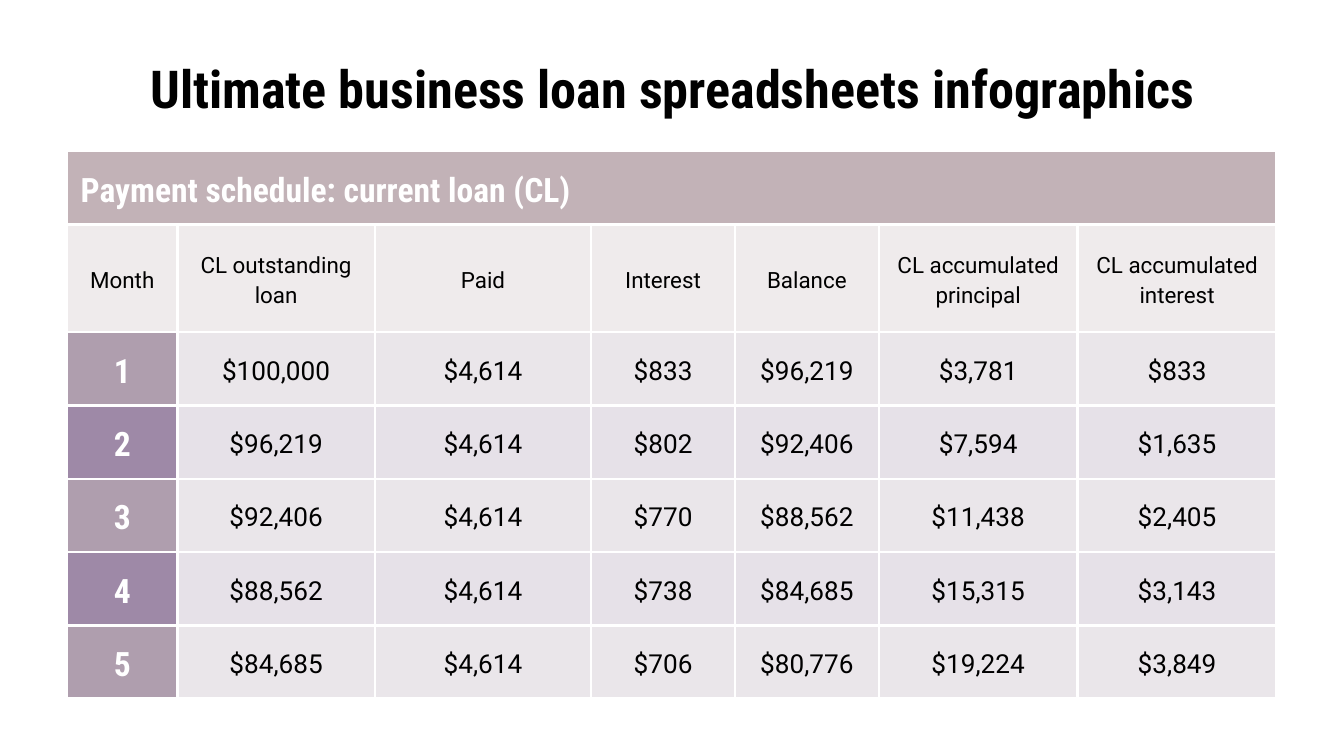
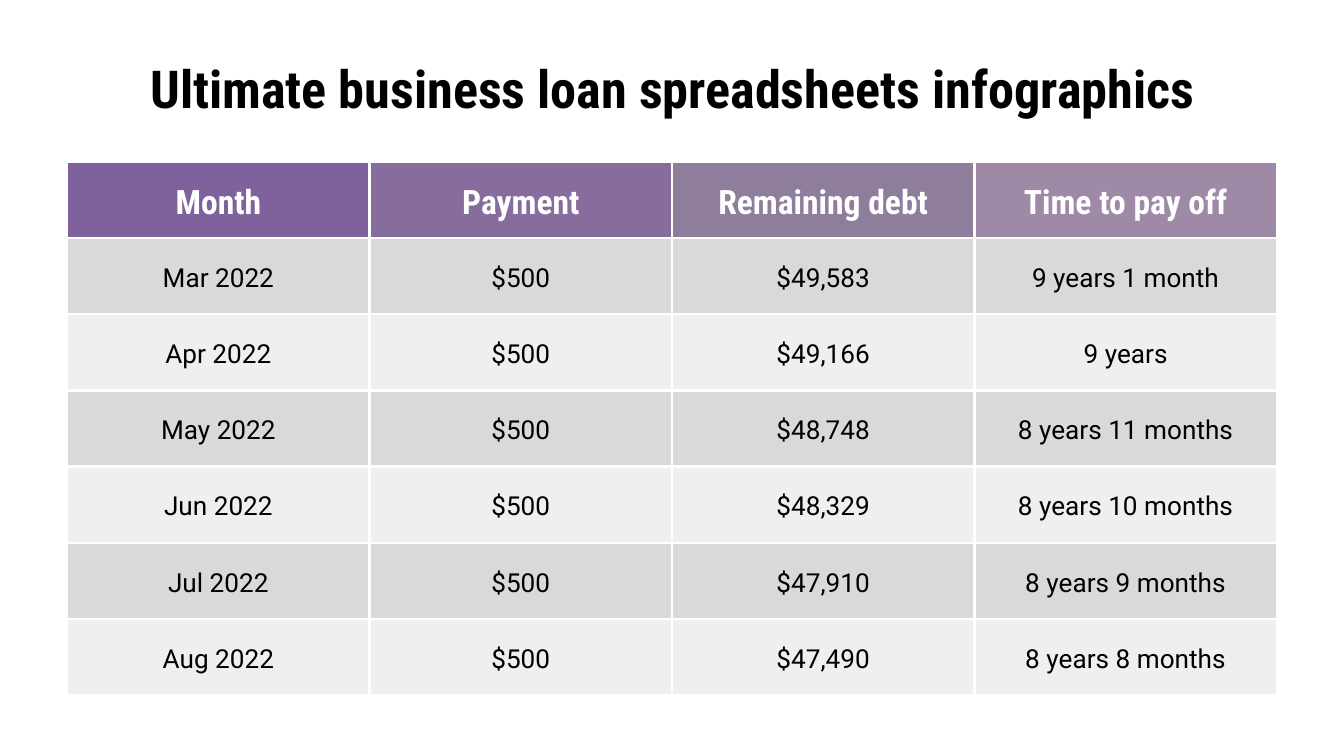
from dataclasses import dataclass

from lxml.etree import SubElement
from pptx import Presentation
from pptx.dml.color import RGBColor
from pptx.enum.text import MSO_ANCHOR as Anchor, PP_ALIGN as Align
from pptx.oxml.ns import qn
from pptx.util import Inches, Pt

# Slide size and shared margins
WIDTH = Inches(10)
HEIGHT = WIDTH * 9 // 16
MARGIN = 0.05
CONTENT = 1 - 2 * MARGIN
INSET = Inches(0.1)

# Shared colours
BLACK, WHITE = "000000", "FFFFFF"
ROSE, MAUVE, LILAC = "C2B2B7", "AF9EAE", "9E89A7"
GRAPE, VIOLET, PLUM = "7F629B", "876D9E", "8F7D9C"
DARK_GREY, LIGHT_GREY = "D9D9D9", "EFEFEF"
TINT = 25

TITLE = "Ultimate business loan spreadsheets infographics"


@dataclass(frozen=True)
class TextStyle:
    size: float
    font: str = "Roboto"
    colour: str = BLACK
    bold: bool = False
    spacing: float = 1.15


TITLE_STYLE = TextStyle(28, "Roboto Condensed", BLACK, True, 1.0)
HEADING = TextStyle(18, "Roboto Condensed", WHITE, True)
LABEL = TextStyle(12)
FIGURE = TextStyle(14)


@dataclass(frozen=True)
class Entry:
    text: str
    style: TextStyle
    fill: str
    opacity: int = 100
    align: Align = Align.CENTER
    span: int = 1


@dataclass(frozen=True)
class Schedule:
    top: float                    # share of the slide height
    height: float                 # share of the slide height
    columns: tuple[float, ...]    # relative widths
    rows: tuple[float, ...]       # relative heights
    entries: list[list[Entry]]


def rgb(colour: str) -> RGBColor:
    return RGBColor.from_string(colour)


def write(frame, text: str, style: TextStyle, align: Align) -> None:
    frame.text = text
    paragraph = frame.paragraphs[0]
    paragraph.alignment = align
    paragraph.line_spacing = style.spacing
    font = paragraph.runs[0].font
    font.size, font.name, font.bold = Pt(style.size), style.font, style.bold
    font.color.rgb = rgb(style.colour)


def set_insets(holder) -> None:
    holder.margin_left = holder.margin_right = INSET
    holder.margin_top = holder.margin_bottom = INSET
    holder.vertical_anchor = Anchor.MIDDLE


def draw_borders(cell) -> None:
    """Add the white rules; they must come before the fill in the cell."""
    properties = cell._tc.get_or_add_tcPr()
    for side in ("lnL", "lnR", "lnT", "lnB"):
        rule = SubElement(properties, qn(f"a:{side}"), w=str(Pt(1.5)))
        solid = SubElement(rule, qn("a:solidFill"))
        SubElement(solid, qn("a:srgbClr"), val=WHITE)


def paint(cell, colour: str, opacity: int) -> None:
    cell.fill.solid()
    cell.fill.fore_color.rgb = rgb(colour)
    if opacity < 100:
        tone = cell._tc.tcPr.find(f"{qn('a:solidFill')}/{qn('a:srgbClr')}")
        SubElement(tone, qn("a:alpha"), val=str(opacity * 1000))


def add_title(slide) -> None:
    box = slide.shapes.add_textbox(int(WIDTH * MARGIN), int(HEIGHT * 0.08),
                                   int(WIDTH * CONTENT), int(HEIGHT * 0.073))
    box.text_frame.word_wrap = True
    set_insets(box.text_frame)
    write(box.text_frame, TITLE, TITLE_STYLE, Align.CENTER)


def add_schedule(slide, schedule: Schedule) -> None:
    width, height = int(WIDTH * CONTENT), int(HEIGHT * schedule.height)
    table = slide.shapes.add_table(
        len(schedule.rows), len(schedule.columns),
        int(WIDTH * MARGIN), int(HEIGHT * schedule.top), width, height).table
    table.first_row = table.horz_banding = False
    for column, share in zip(table.columns, schedule.columns):
        column.width = int(width * share / sum(schedule.columns))
    for row, share in zip(table.rows, schedule.rows):
        row.height = int(height * share / sum(schedule.rows))

    for cell in table.iter_cells():
        draw_borders(cell)
        set_insets(cell)
    for r, line in enumerate(schedule.entries):
        for c, entry in enumerate(line):
            cell = table.cell(r, c)
            if entry.span > 1:
                cell.merge(table.cell(r, c + entry.span - 1))
            paint(cell, entry.fill, entry.opacity)
            write(cell.text_frame, entry.text, entry.style, entry.align)


def payment_schedule() -> Schedule:
    labels = ("Month", "CL outstanding loan", "Paid", "Interest", "Balance",
              "CL accumulated principal", "CL accumulated interest")
    months = (
        ("$100,000", "$4,614", "$833", "$96,219", "$3,781", "$833"),
        ("$96,219", "$4,614", "$802", "$92,406", "$7,594", "$1,635"),
        ("$92,406", "$4,614", "$770", "$88,562", "$11,438", "$2,405"),
        ("$88,562", "$4,614", "$738", "$84,685", "$15,315", "$3,143"),
        ("$84,685", "$4,614", "$706", "$80,776", "$19,224", "$3,849"),
    )
    entries = [
        [Entry("Payment schedule: current loan (CL)", HEADING, ROSE,
               align=Align.LEFT, span=len(labels))],
        [Entry(label, LABEL, ROSE, TINT) for label in labels],
    ]
    for number, amounts in enumerate(months, start=1):
        band = MAUVE if number % 2 else LILAC
        entries.append([Entry(str(number), HEADING, band)]
                       + [Entry(amount, FIGURE, band, TINT) for amount in amounts])
    return Schedule(0.2, 0.72, (0.82, 1.47, 1.61, 1.07, 1.07, 1.48, 1.48),
                    (0.54, 0.8) + (0.54,) * len(months), entries)


def payoff_schedule() -> Schedule:
    headings = (("Month", GRAPE), ("Payment", VIOLET),
                ("Remaining debt", PLUM), ("Time to pay off", LILAC))
    months = (
        ("Mar 2022", "$500", "$49,583", "9 years 1 month"),
        ("Apr 2022", "$500", "$49,166", "9 years"),
        ("May 2022", "$500", "$48,748", "8 years 11 months"),
        ("Jun 2022", "$500", "$48,329", "8 years 10 months"),
        ("Jul 2022", "$500", "$47,910", "8 years 9 months"),
        ("Aug 2022", "$500", "$47,490", "8 years 8 months"),
    )
    entries = [[Entry(heading, HEADING, fill) for heading, fill in headings]]
    for number, values in enumerate(months):
        band = LIGHT_GREY if number % 2 else DARK_GREY
        entries.append([Entry(value, FIGURE, band) for value in values])
    return Schedule(0.214, 0.706, (1,) * len(headings),
                    (1,) * len(entries), entries)


def main() -> None:
    deck = Presentation()
    deck.slide_width, deck.slide_height = WIDTH, HEIGHT
    for schedule in (payment_schedule(), payoff_schedule()):
        slide = deck.slides.add_slide(deck.slide_layouts[6])
        add_title(slide)
        add_schedule(slide, schedule)
    deck.save("out.pptx")


if __name__ == "__main__":
    main()
